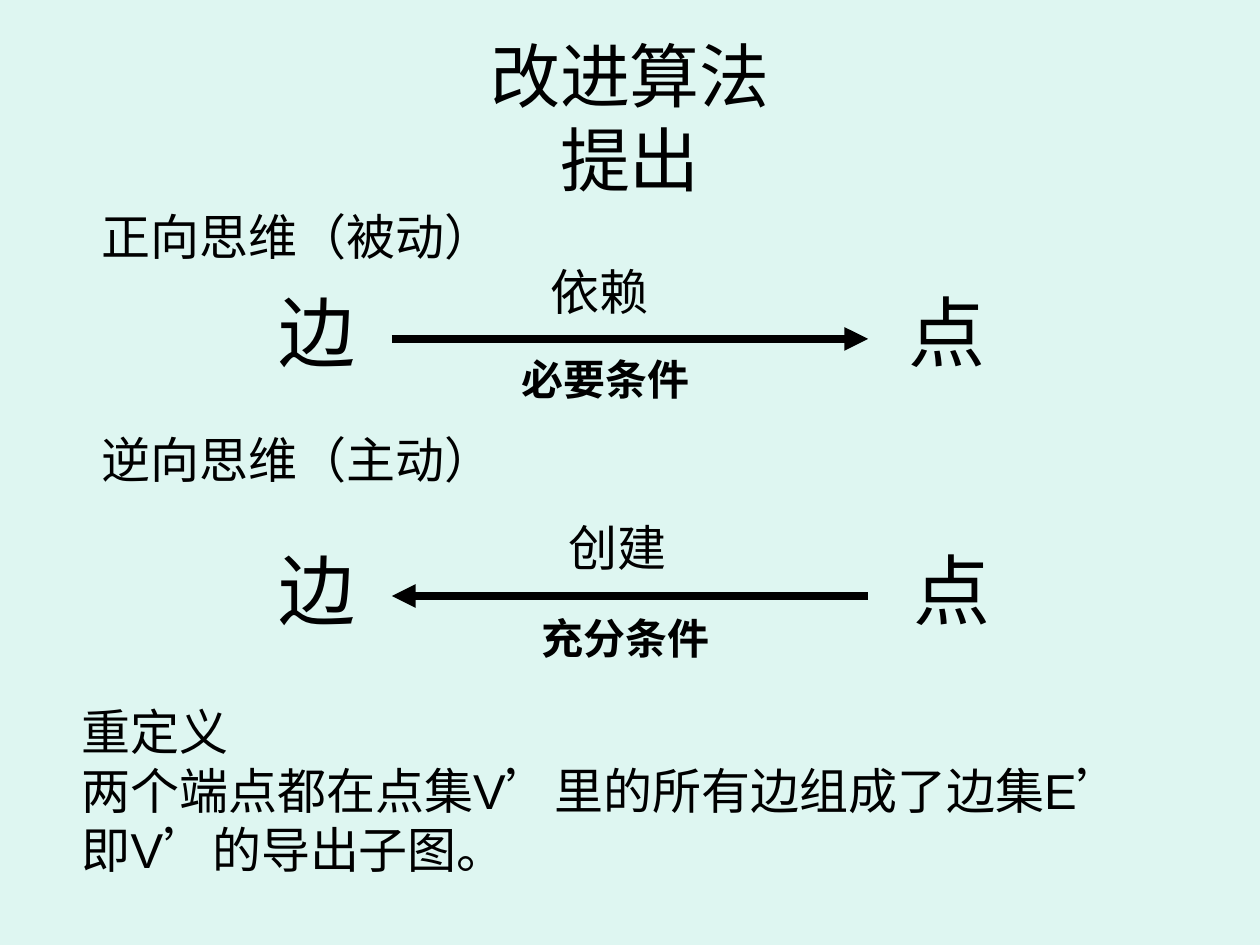
from dataclasses import dataclass

from lxml.etree import SubElement
from pptx import Presentation
from pptx.dml.color import RGBColor
from pptx.enum.lang import MSO_LANGUAGE_ID
from pptx.enum.shapes import MSO_CONNECTOR
from pptx.enum.text import MSO_ANCHOR, MSO_AUTO_SIZE, PP_ALIGN
from pptx.oxml.ns import qn
from pptx.util import Pt

EMU_PER_PX = 9144
INK = "000000"
PAPER = "DEF6F1"
LATIN = "Arial"
CHINESE = "Noto Sans CJK SC"


@dataclass(frozen=True)
class Label:
    text: str
    left: int
    top: int
    width: int
    height: int
    size: int
    bold: bool = False
    wrap: bool = True
    align: PP_ALIGN = PP_ALIGN.CENTER


@dataclass(frozen=True)
class Arrow:
    y: int
    pointed_end: str


LABELS = [
    Label("必要条件", 287, 276, 387, 50, 24, bold=True),
    Label("边", 177, 221, 149, 83, 44),
    Label("依赖", 427, 203, 98, 57, 28, wrap=False),
    Label("点", 677, 221, 149, 83, 44),
    Label("充分条件", 303, 481, 387, 50, 24, bold=True),
    Label("边", 177, 426, 149, 83, 44),
    Label("创建", 441, 406, 98, 57, 28, wrap=False),
    Label("点", 681, 426, 149, 83, 44),
    Label("正向思维（被动）", 71, 159, 429, 57, 28, align=PP_ALIGN.LEFT),
    Label("逆向思维（主动）", 71, 336, 331, 57, 28, wrap=False, align=PP_ALIGN.LEFT),
]
ARROWS = [Arrow(269, "a:tailEnd"), Arrow(473, "a:headEnd")]
ARROW_LEFT, ARROW_RIGHT = 311, 689
DEFINITION = Label("", 55, 552, 945, 150, 28, align=PP_ALIGN.LEFT)
DEFINITION_SPANS = [
    [
        ("重定义\v", LATIN),
        ("两个端点都在点集", CHINESE),
        ("V’", LATIN),
        ("里的所有边组成了边集", CHINESE),
        ("E’", LATIN),
    ],
    [("即V’的导出子图。", LATIN)],
]


def px(length: int) -> int:
    return length * EMU_PER_PX


def color(value: str) -> RGBColor:
    return RGBColor.from_string(value)


def format_paragraph(para, size: int, align: PP_ALIGN, bold: bool = False) -> None:
    para.alignment = align
    para.font.name = LATIN
    para.font.size = Pt(size)
    para.font.bold = bold
    para.font.color.rgb = color(INK)
    para.font.language_id = MSO_LANGUAGE_ID.SIMPLIFIED_CHINESE


def add_box(page, label: Label):
    box = page.shapes.add_textbox(
        px(label.left), px(label.top), px(label.width), px(label.height)
    )
    frame = box.text_frame
    frame.word_wrap = label.wrap
    frame.auto_size = MSO_AUTO_SIZE.SHAPE_TO_FIT_TEXT
    return frame


def draw_label(page, label: Label) -> None:
    para = add_box(page, label).paragraphs[0]
    para.text = label.text
    format_paragraph(para, label.size, label.align, label.bold)


def draw_arrow(page, arrow: Arrow) -> None:
    connector = page.shapes.add_connector(
        MSO_CONNECTOR.STRAIGHT,
        px(ARROW_LEFT), px(arrow.y), px(ARROW_RIGHT), px(arrow.y),
    )
    connector.line.color.rgb = color(INK)
    connector.line.width = Pt(4.5)
    line = connector.line._get_or_add_ln()
    SubElement(line, qn(arrow.pointed_end), type="triangle")
    SubElement(connector._element.spPr, qn("a:effectLst"))


def draw_definition(page) -> None:
    frame = add_box(page, DEFINITION)
    for index, spans in enumerate(DEFINITION_SPANS):
        para = frame.add_paragraph() if index else frame.paragraphs[0]
        format_paragraph(para, DEFINITION.size, DEFINITION.align)
        for text, font in spans:
            span = para.add_run()
            span.text = text.rstrip("\v")
            span.font.name = font
            if text.endswith("\v"):
                para.add_line_break()


def draw_title(page) -> None:
    title = page.shapes.title
    title.left, title.top, title.width, title.height = map(px, (50, 30, 900, 125))
    title.text_frame.vertical_anchor = MSO_ANCHOR.MIDDLE
    para = title.text_frame.paragraphs[0]
    para.text = "改进算法\v提出"
    format_paragraph(para, 40, PP_ALIGN.CENTER)


def main() -> None:
    deck = Presentation()
    deck.slide_width, deck.slide_height = px(1000), px(750)
    page = deck.slides.add_slide(deck.slide_layouts[5])
    page.background.fill.solid()
    page.background.fill.fore_color.rgb = color(PAPER)
    draw_title(page)
    for label in LABELS:
        draw_label(page, label)
    for arrow in ARROWS:
        draw_arrow(page, arrow)
    draw_definition(page)
    deck.save("out.pptx")


if __name__ == "__main__":
    main()
